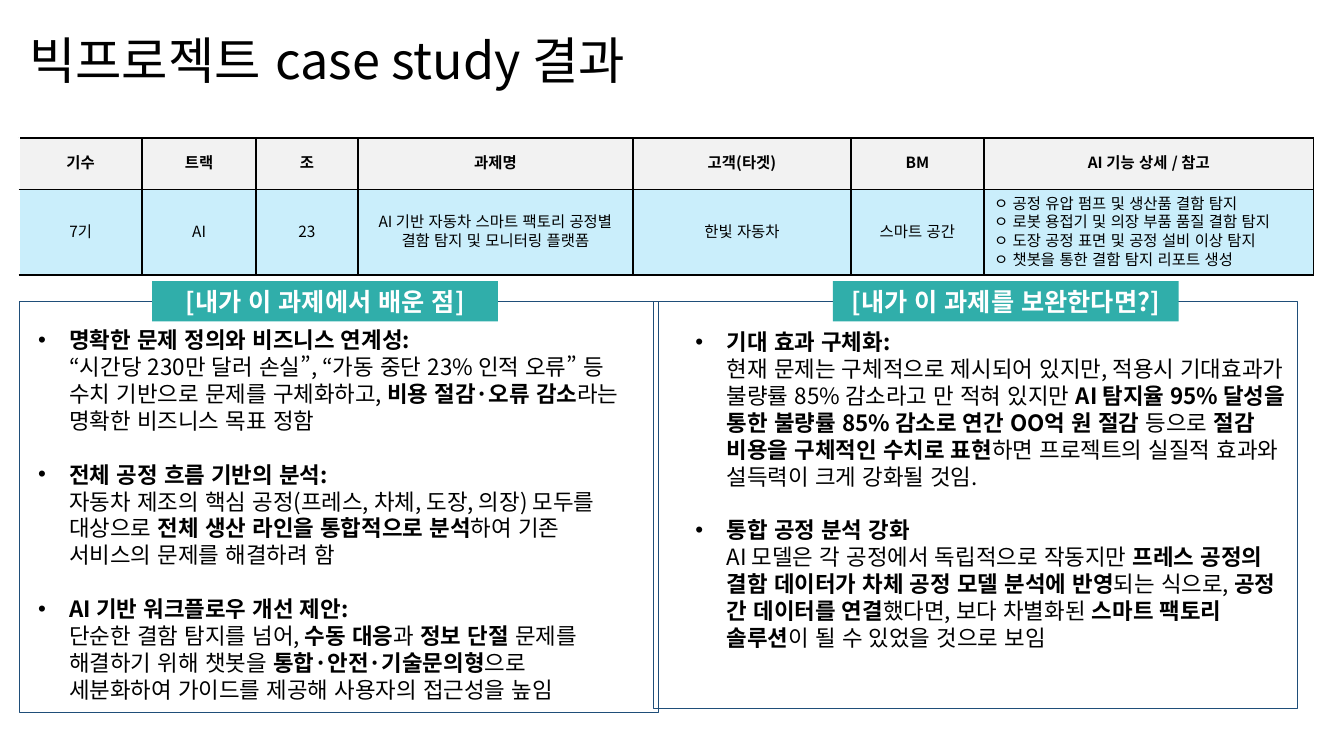
from lxml.etree import SubElement
from pptx import Presentation
from pptx.dml.color import RGBColor
from pptx.enum.lang import MSO_LANGUAGE_ID
from pptx.enum.shapes import MSO_SHAPE
from pptx.enum.text import MSO_ANCHOR, PP_ALIGN
from pptx.oxml.ns import qn
from pptx.util import Inches, Pt

COLORS = {
    "text": "000000",
    "white": "FFFFFF",
    "frame": "1F4E79",
    "label": "30AEAA",
    "header": "F2F2F2",
    "row": "CAEEFB",
}


class CaseStudySlide:
    font_name = "Noto Sans CJK KR"

    def __init__(self, presentation):
        self.slide = presentation.slides.add_slide(presentation.slide_layouts[6])

    def color(self, name):
        return RGBColor.from_string(COLORS[name])

    def run(self, paragraph, text, size, bold=False, color="text"):
        run = paragraph.add_run()
        run.text = text
        font = run.font
        font.size = Pt(size)
        font.bold = bold
        font.name = self.font_name
        font.language_id = MSO_LANGUAGE_ID.KOREAN
        font.color.rgb = self.color(color)
        SubElement(font._element, qn("a:ea"), typeface=self.font_name)

    def text_box(self, left, top, width, height, anchor=MSO_ANCHOR.TOP):
        box = self.slide.shapes.add_textbox(
            Inches(left), Inches(top), Inches(width), Inches(height))
        frame = box.text_frame
        frame.word_wrap = True
        frame.vertical_anchor = anchor
        return frame

    def title(self, text, left, top, width, height):
        frame = self.text_box(left, top, width, height, MSO_ANCHOR.MIDDLE)
        paragraph = frame.paragraphs[0]
        paragraph.line_spacing = 0.9
        self.run(paragraph, text, 36)

    def rectangle(self, left, top, width, height, fill=None, line=None):
        shape = self.slide.shapes.add_shape(
            MSO_SHAPE.RECTANGLE, Inches(left), Inches(top), Inches(width), Inches(height))
        shape.shadow.inherit = False
        if fill:
            shape.fill.solid()
            shape.fill.fore_color.rgb = self.color(fill)
        else:
            shape.fill.background()
        if line:
            shape.line.color.rgb = self.color(line)
            shape.line.width = Pt(0.75)
        else:
            shape.line.fill.background()
        return shape

    def label(self, text, left, top, width, height):
        frame = self.rectangle(left, top, width, height, fill="label").text_frame
        frame.word_wrap = True
        frame.margin_top = frame.margin_bottom = 0
        frame.vertical_anchor = MSO_ANCHOR.MIDDLE
        paragraph = frame.paragraphs[0]
        paragraph.alignment = PP_ALIGN.CENTER
        self.run(paragraph, text, 18, True, "white")

    def bullets(self, items, left, top, width, height):
        """Each item is a heading and parts that alternate regular and bold."""
        frame = self.text_box(left, top, width, height)
        for index, (heading, *parts) in enumerate(items):
            paragraph = frame.paragraphs[0] if index == 0 else frame.add_paragraph()
            paragraph.line_spacing = Pt(19.2)
            if index:
                paragraph.space_before = Pt(19.2)
            properties = paragraph._p.get_or_add_pPr()
            properties.set("marL", str(Inches(0.31)))
            properties.set("indent", str(Inches(-0.31)))
            SubElement(properties, qn("a:buFont"), typeface="Arial")
            SubElement(properties, qn("a:buChar"), char="•")
            self.run(paragraph, heading, 16, True)
            paragraph.add_line_break()
            for number, part in enumerate(parts):
                self.run(paragraph, part, 16, number % 2 == 1)

    def cell_borders(self, cell, first_column):
        properties = cell._tc.get_or_add_tcPr()
        for position, side in enumerate(("lnL", "lnR", "lnT", "lnB")):
            open_edge = first_column and side == "lnL"
            line = SubElement(properties, qn(f"a:{side}"),
                              w=str(Pt(1 if open_edge else 1.33)))
            properties.insert(position, line)
            fill = SubElement(line, qn("a:solidFill"))
            SubElement(fill, qn("a:srgbClr"), val=COLORS["white" if open_edge else "text"])

    def table(self, rows, left, top, widths, heights):
        table = self.slide.shapes.add_table(
            len(rows), len(widths), Inches(left), Inches(top),
            Inches(sum(widths)), Inches(sum(heights))).table
        table.first_row = table.horz_banding = False
        for column, width in zip(table.columns, widths):
            column.width = Inches(width)
        for row_index, texts in enumerate(rows):
            table.rows[row_index].height = Inches(heights[row_index])
            for column_index, text in enumerate(texts):
                cell = table.cell(row_index, column_index)
                cell.vertical_anchor = MSO_ANCHOR.MIDDLE
                cell.fill.solid()
                cell.fill.fore_color.rgb = self.color("row" if row_index else "header")
                self.cell_borders(cell, column_index == 0)
                lines = text.split("\n")
                for line_index, line in enumerate(lines):
                    frame = cell.text_frame
                    paragraph = frame.add_paragraph() if line_index else frame.paragraphs[0]
                    paragraph.alignment = PP_ALIGN.LEFT if len(lines) > 1 else PP_ALIGN.CENTER
                    paragraph.line_spacing = Pt(13.5)
                    self.run(paragraph, line, 11, row_index == 0)


TABLE_ROWS = [
    ["기수", "트랙", "조", "과제명", "고객(타겟)", "BM", "AI 기능 상세 / 참고"],
    ["7기", "AI", "23", "AI 기반 자동차 스마트 팩토리 공정별 결함 탐지 및 모니터링 플랫폼",
     "한빛 자동차", "스마트 공간",
     "ㅇ 공정 유압 펌프 및 생산품 결함 탐지\n"
     "ㅇ 로봇 용접기 및 의장 부품 품질 결함 탐지\n"
     "ㅇ 도장 공정 표면 및 공정 설비 이상 탐지\n"
     "ㅇ 챗봇을 통한 결함 탐지 리포트 생성"],
]

LESSONS = [
    ["명확한 문제 정의와 비즈니스 연계성:",
     "“시간당 230만 달러 손실”, “가동 중단 23% 인적 오류” 등 수치 기반으로 문제를 구체화하고, ",
     "비용 절감·오류 감소", "라는 명확한 비즈니스 목표 정함"],
    ["전체 공정 흐름 기반의 분석:",
     "자동차 제조의 핵심 공정(프레스, 차체, 도장, 의장) 모두를 대상으로 ",
     "전체 생산 라인을 통합적으로 분석", "하여 기존 서비스의 문제를 해결하려 함"],
    ["AI 기반 워크플로우 개선 제안:",
     "단순한 결함 탐지를 넘어, ", "수동 대응", "과 ", "정보 단절",
     " 문제를 해결하기 위해 챗봇을 ", "통합·안전·기술문의형",
     "으로 세분화하여 가이드를 제공해 사용자의 접근성을 높임"],
]

IMPROVEMENTS = [
    ["기대 효과 구체화:",
     "현재 문제는 구체적으로 제시되어 있지만, 적용시 기대효과가 불량률 85% 감소라고 만 적혀 있지만 ",
     "AI 탐지율 95% 달성을 통한 불량률 85% 감소로 연간 OO억 원 절감", " 등으로 ",
     "절감 비용을 구체적인 수치로 표현",
     "하면 프로젝트의 실질적 효과와 설득력이 크게 강화될 것임."],
    ["통합 공정 분석 강화",
     "AI 모델은 각 공정에서 독립적으로 작동지만 ",
     "프레스 공정의 결함 데이터가 차체 공정 모델 분석에 반영", "되는 식으로, ",
     "공정 간 데이터를 연결", "했다면, 보다 차별화된 ", "스마트 팩토리 솔루션",
     "이 될 수 있었을 것으로 보임"],
]


def main():
    presentation = Presentation()
    presentation.slide_width = Inches(13.33)
    presentation.slide_height = Inches(7.5)
    page = CaseStudySlide(presentation)

    # Title and project table
    page.title("빅프로젝트 case study 결과", 0.19, 0.22, 11.5, 0.82)
    page.table(TABLE_ROWS, 0.19, 1.37,
               [1.22, 1.13, 1.01, 2.73, 2.16, 1.32, 3.27], [0.51, 0.85])

    # Panel frames
    page.rectangle(0.19, 2.99, 6.34, 4.08, line="frame")
    page.rectangle(6.48, 2.99, 6.39, 4.04, line="frame")

    # Panel labels
    page.label("[내가 이 과제에서 배운 점]", 1.51, 2.79, 3.43, 0.4)
    page.label("[내가 이 과제를 보완한다면?]", 8.26, 2.79, 3.43, 0.4)

    # Panel texts
    page.bullets(LESSONS, 0.28, 3.19, 6.07, 3.87)
    page.bullets(IMPROVEMENTS, 6.8, 3.21, 6.07, 3.33)

    presentation.save("out.pptx")


if __name__ == "__main__":
    main()
